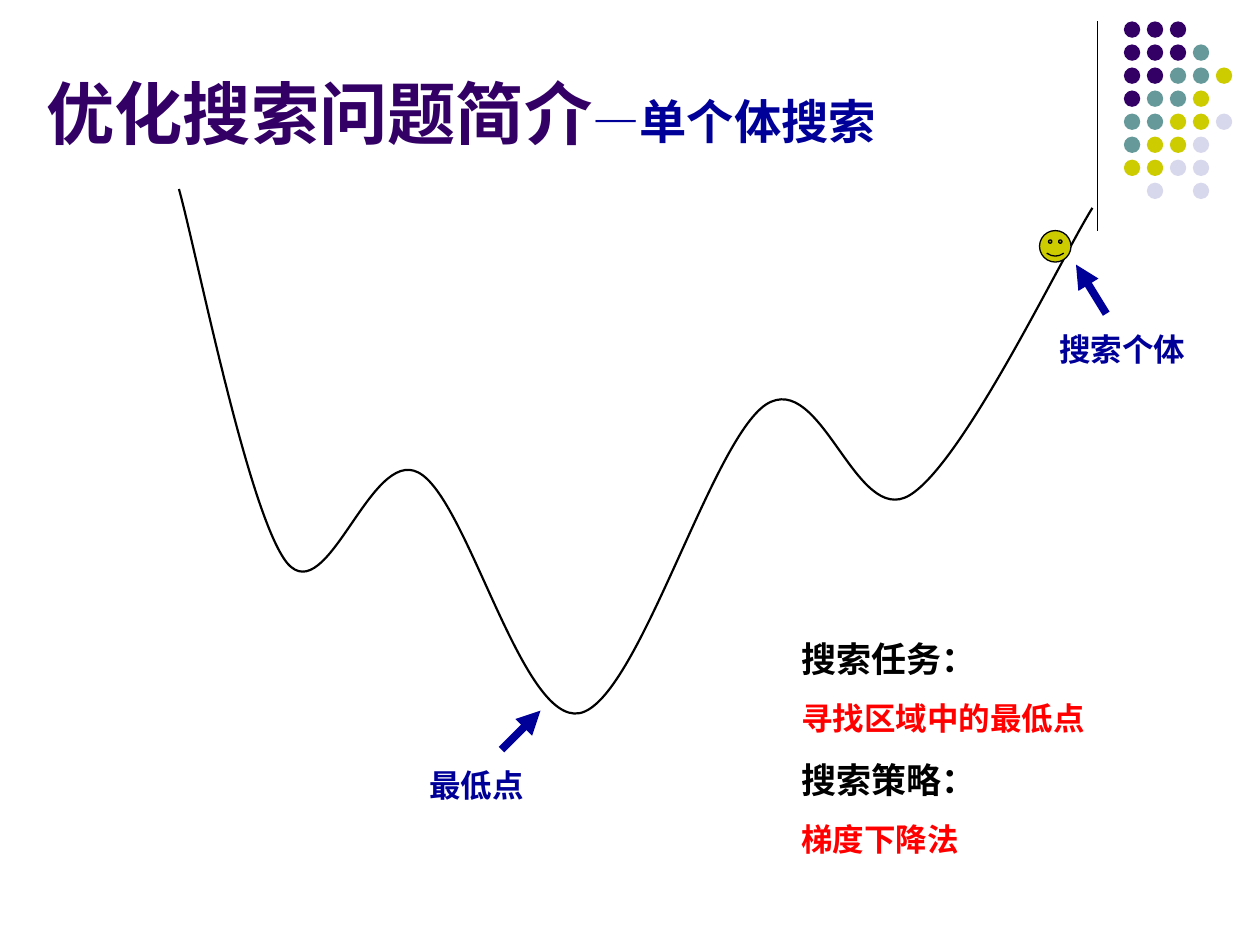
from pptx import Presentation
from pptx.dml.color import RGBColor
from pptx.enum.shapes import MSO_CONNECTOR, MSO_SHAPE
from pptx.enum.text import MSO_AUTO_SIZE, PP_ALIGN
from pptx.oxml.ns import qn
from pptx.util import Inches, Pt
from lxml.etree import SubElement

PURPLE, TEAL, LIME, LILAC = "330066", "669999", "CCCC00", "D8D8EC"
BLACK, BLUE, RED = "000000", "000099", "FF0000"
DOT_COLORS = {"P": PURPLE, "T": TEAL, "Y": LIME, "L": LILAC}
DOT_ROWS = ["PPP", "PPPT", "PPTTY", "PTTY", "TTYYL", "TYYL", "YYLL", " L L"]
CURVE = [
    (1.42, 1.5),
    (1.56, 2), (1.97, 4.09), (2.28, 4.47),
    (2.6, 4.84), (2.94, 3.55), (3.32, 3.75),
    (3.71, 3.95), (4.14, 5.75), (4.6, 5.66),
    (5.06, 5.57), (5.64, 3.5), (6.08, 3.21),
    (6.52, 2.93), (6.79, 4.19), (7.22, 3.93),
    (7.65, 3.67), (8.43, 2.03), (8.67, 1.65),
]


def rgb(color):
    return RGBColor.from_string(color)


def set_line(sp, color, width):
    sp.line.color.rgb = rgb(color)
    sp.line.width = Pt(width)


def add_shape(s, kind, x, y, size, fill):
    sp = s.shapes.add_shape(kind, Inches(x), Inches(y), Inches(size), Inches(size))
    sp.shadow.inherit = False
    sp.fill.solid()
    sp.fill.fore_color.rgb = rgb(fill)
    sp.line.fill.background()
    return sp


def add_line(s, x1, y1, x2, y2, color, width, arrow=False):
    sp = s.shapes.add_connector(
        MSO_CONNECTOR.STRAIGHT, Inches(x1), Inches(y1), Inches(x2), Inches(y2))
    set_line(sp, color, width)
    if arrow:
        SubElement(sp.line._get_or_add_ln(), qn("a:tailEnd"), type="triangle")
    SubElement(sp._element.spPr, qn("a:effectLst"))


def add_text(s, x, y, w, h, paragraphs, align=PP_ALIGN.LEFT):
    tf = s.shapes.add_textbox(Inches(x), Inches(y), Inches(w), Inches(h)).text_frame
    tf.word_wrap = True
    tf.auto_size = MSO_AUTO_SIZE.SHAPE_TO_FIT_TEXT
    for i, runs in enumerate(paragraphs):
        p = tf.add_paragraph() if i else tf.paragraphs[0]
        p.alignment = align
        p.font.name = "Arial"
        p.font.bold = True
        if i:
            p.space_before = Pt(runs[0][1] * 0.625)
        for text, size, color in runs:
            r = p.add_run()
            r.text = text
            r.font.size = Pt(size)
            r.font.color.rgb = rgb(color)


def add_dots(s):
    for row, codes in enumerate(DOT_ROWS):
        for col, code in enumerate(codes):
            if code in DOT_COLORS:
                add_shape(s, MSO_SHAPE.OVAL, 8.92 + col * 0.73 / 4,
                          0.17 + row * 1.28 / 7, 0.13, DOT_COLORS[code])


def add_curve(s, points, color, width):
    start, *rest = [(Inches(x), Inches(y)) for x, y in points]
    builder = s.shapes.build_freeform(*start)
    builder.add_line_segments(rest, close=False)
    sp = builder.convert_to_shape()
    sp.shadow.inherit = False
    sp.fill.background()
    set_line(sp, color, width)
    outline = next(sp._element.iter(qn("a:path")))
    segments = outline.findall(qn("a:lnTo"))
    for i in range(0, len(segments), 3):
        bezier = SubElement(outline, qn("a:cubicBezTo"))
        for segment in segments[i:i + 3]:
            bezier.append(segment[0])
            outline.remove(segment)


def main():
    prs = Presentation()
    prs.slide_width, prs.slide_height = Inches(10), Inches(7.5)
    s = prs.slides.add_slide(prs.slide_layouts[6])

    add_line(s, 8.71, 0.17, 8.71, 1.83, BLACK, 0.75)
    add_dots(s)
    add_curve(s, CURVE, BLACK, 1.25)
    face = add_shape(s, MSO_SHAPE.SMILEY_FACE, 8.25, 1.83, 0.25, LIME)
    set_line(face, BLACK, 0.75)

    add_text(s, 0.27, 0.52, 7.95, 0.75,
             [[("优化搜索问题简介", 39, PURPLE), ("—单个体搜索", 27, BLUE)]])
    add_line(s, 3.98, 5.95, 4.29, 5.64, BLUE, 4.5, arrow=True)
    add_text(s, 3.27, 6.03, 1.02, 0.4, [[("最低点", 18, BLUE)]], PP_ALIGN.CENTER)
    add_text(s, 6.26, 5.01, 2.6, 1.86, [
        [("搜索任务：", 20, BLACK)],
        [("寻找区域中的最低点", 18, RED)],
        [("搜索策略：", 20, BLACK)],
        [("梯度下降法", 18, RED)],
    ])
    add_line(s, 8.78, 2.49, 8.54, 2.1, BLUE, 4.5, arrow=True)
    add_text(s, 8.31, 2.57, 1.26, 0.4, [[("搜索个体", 18, BLUE)]])
    prs.save("out.pptx")


if __name__ == "__main__":
    main()
